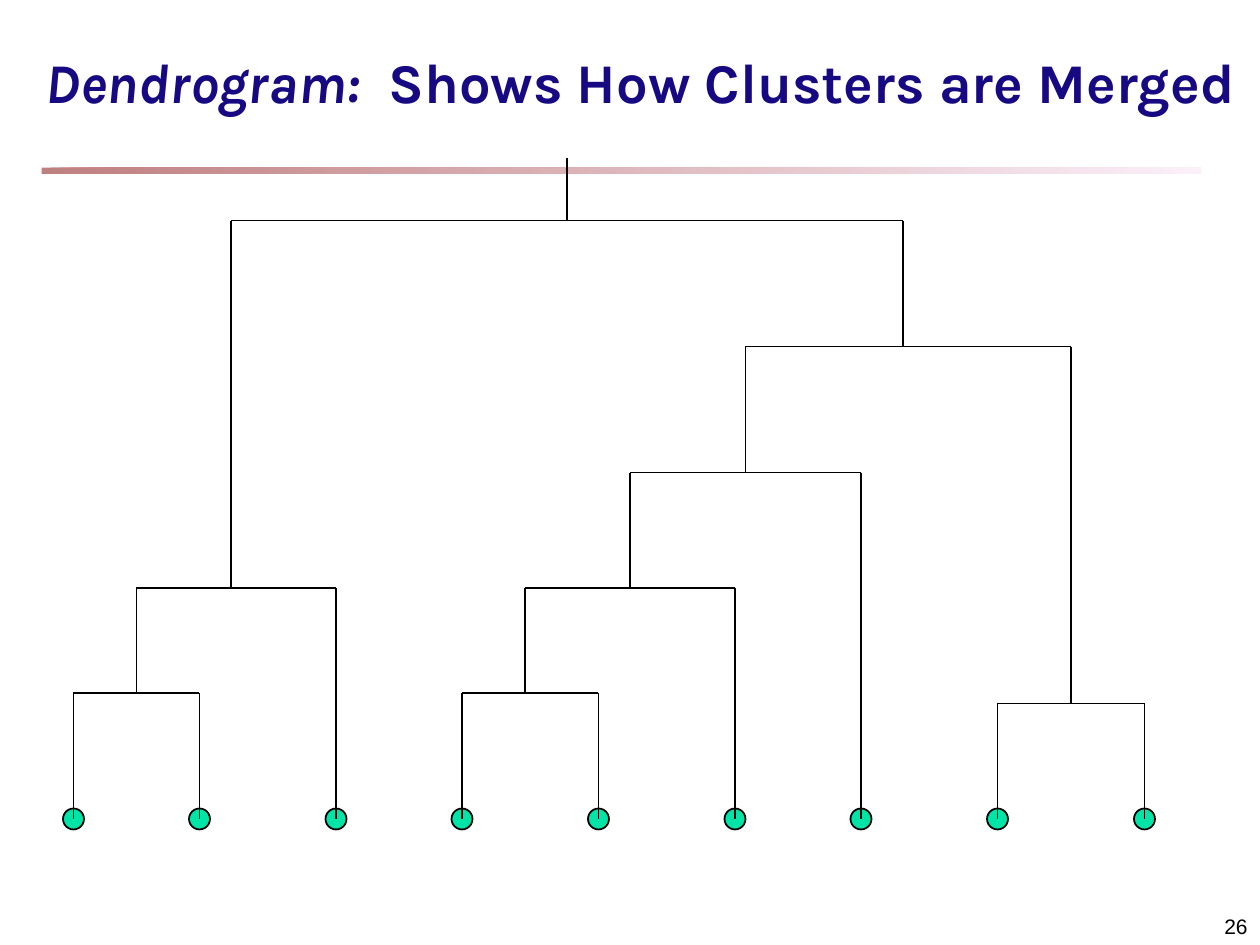
from collections import namedtuple

from lxml import etree
from pptx import Presentation
from pptx.dml.color import RGBColor
from pptx.enum.shapes import MSO_CONNECTOR, MSO_SHAPE
from pptx.enum.text import MSO_ANCHOR, PP_ALIGN
from pptx.oxml.ns import qn
from pptx.util import Inches, Pt

STRAIGHT = MSO_CONNECTOR.STRAIGHT
RECTANGLE = MSO_SHAPE.RECTANGLE
OVAL = MSO_SHAPE.OVAL
TOP, BOTTOM = MSO_ANCHOR.TOP, MSO_ANCHOR.BOTTOM
CENTER, RIGHT = PP_ALIGN.CENTER, PP_ALIGN.RIGHT

COLORS = {
    "title": "170981",
    "ink": "000000",
    "leaf": "00E4A8",
    "rule_start": "800000",
    "rule_end": "FAE2F6",
}
TITLE_ONLY = 5
COLUMNS, ROWS = 104, 64
LEAF_ROW = 63

Box = namedtuple("Box", "left top width height")
Merge = namedtuple("Merge", "column row children")

LEFT_CLUSTER = Merge(16, 41, (Merge(7, 51, (1, 13)), 26))
MIDDLE_CLUSTER = Merge(65, 30, (Merge(54, 41, (Merge(44, 51, (38, 51)), 64)), 76))
RIGHT_CLUSTER = Merge(80, 18, (MIDDLE_CLUSTER, Merge(96, 52, (89, 103))))
ROOT = Merge(48, 6, (LEFT_CLUSTER, RIGHT_CLUSTER))


def color(name):
    return RGBColor.from_string(COLORS[name])


def place(shape, box):
    shape.left, shape.top, shape.width, shape.height = map(Inches, box)


def add_run(paragraph, text, *, font, size, ink, bold=False, italic=False):
    run = paragraph.add_run()
    run.text = text
    run.font.name = font
    run.font.size = Pt(size)
    run.font.bold = bold
    run.font.italic = italic
    run.font.color.rgb = color(ink)


def prepare_frame(shape, *, anchor, alignment):
    frame = shape.text_frame
    frame.word_wrap = True
    frame.vertical_anchor = anchor
    paragraph = frame.paragraphs[0]
    paragraph.alignment = alignment
    return paragraph


def add_title(slide, box):
    title = slide.shapes.title
    place(title, box)
    paragraph = prepare_frame(title, anchor=TOP, alignment=CENTER)
    style = {"font": "Karla", "size": 32, "ink": "title", "bold": True}
    add_run(paragraph, "Dendrogram:", italic=True, **style)
    add_run(paragraph, "  Shows How Clusters are Merged", **style)


def add_rule(slide, box):
    rule = slide.shapes.add_shape(RECTANGLE, *map(Inches, box))
    rule.shadow.inherit = False
    rule.line.fill.background()
    rule.fill.gradient()
    rule.fill.gradient_angle = 0
    for stop, name in zip(rule.fill.gradient_stops, ("rule_start", "rule_end")):
        stop.color.rgb = color(name)
    for tint in rule.element.spPr.iter(qn("a:srgbClr")):
        etree.SubElement(tint, qn("a:alpha"), val="50000")


def add_page_number(slide, box, number):
    shape = slide.shapes.add_textbox(*map(Inches, box))
    paragraph = prepare_frame(shape, anchor=BOTTOM, alignment=RIGHT)
    add_run(paragraph, number, font="Arial", size=12, ink="ink")


def list_leaves(node):
    if isinstance(node, int):
        return [node]
    return [leaf for child in node.children for leaf in list_leaves(child)]


def add_dendrogram(slide, box, root):
    def grid_point(column, row):
        return (Inches(box.left + box.width * column / COLUMNS),
                Inches(box.top + box.height * row / ROWS))

    def add_line(start, end):
        line = slide.shapes.add_connector(STRAIGHT, *grid_point(*start), *grid_point(*end))
        line.line.color.rgb = color("ink")
        line.line.width = Pt(1)
        etree.SubElement(line.element.spPr, qn("a:effectLst"))

    def add_leaf(column):
        left, top = grid_point(column - 1, LEAF_ROW - 1)
        right, bottom = grid_point(column + 1, LEAF_ROW + 1)
        leaf = slide.shapes.add_shape(OVAL, left, top, right - left, bottom - top)
        leaf.shadow.inherit = False
        leaf.fill.solid()
        leaf.fill.fore_color.rgb = color("leaf")
        leaf.line.color.rgb = color("ink")
        leaf.line.width = Pt(1)

    def add_branch(node, parent_row):
        if isinstance(node, int):
            add_line((node, parent_row), (node, LEAF_ROW))
            return
        add_line((node.column, parent_row), (node.column, node.row))
        ends = [child if isinstance(child, int) else child.column for child in node.children]
        add_line((ends[0], node.row), (ends[-1], node.row))
        for child in node.children:
            add_branch(child, node.row)

    for column in list_leaves(root):
        add_leaf(column)
    add_branch(root, 0)


def main():
    presentation = Presentation()
    presentation.slide_width = Inches(10)
    presentation.slide_height = Inches(7.5)
    slide = presentation.slides.add_slide(presentation.slide_layouts[TITLE_ONLY])
    add_title(slide, Box(0, 0.33, 10.17, 0.63))
    add_rule(slide, Box(0.33, 1.33, 9.2, 0.05))
    add_dendrogram(slide, Box(0.5, 1.25, COLUMNS / 12, ROWS / 12), ROOT)
    add_page_number(slide, Box(7.92, 7.08, 2.08, 0.42), "26")
    presentation.save("out.pptx")


if __name__ == "__main__":
    main()
